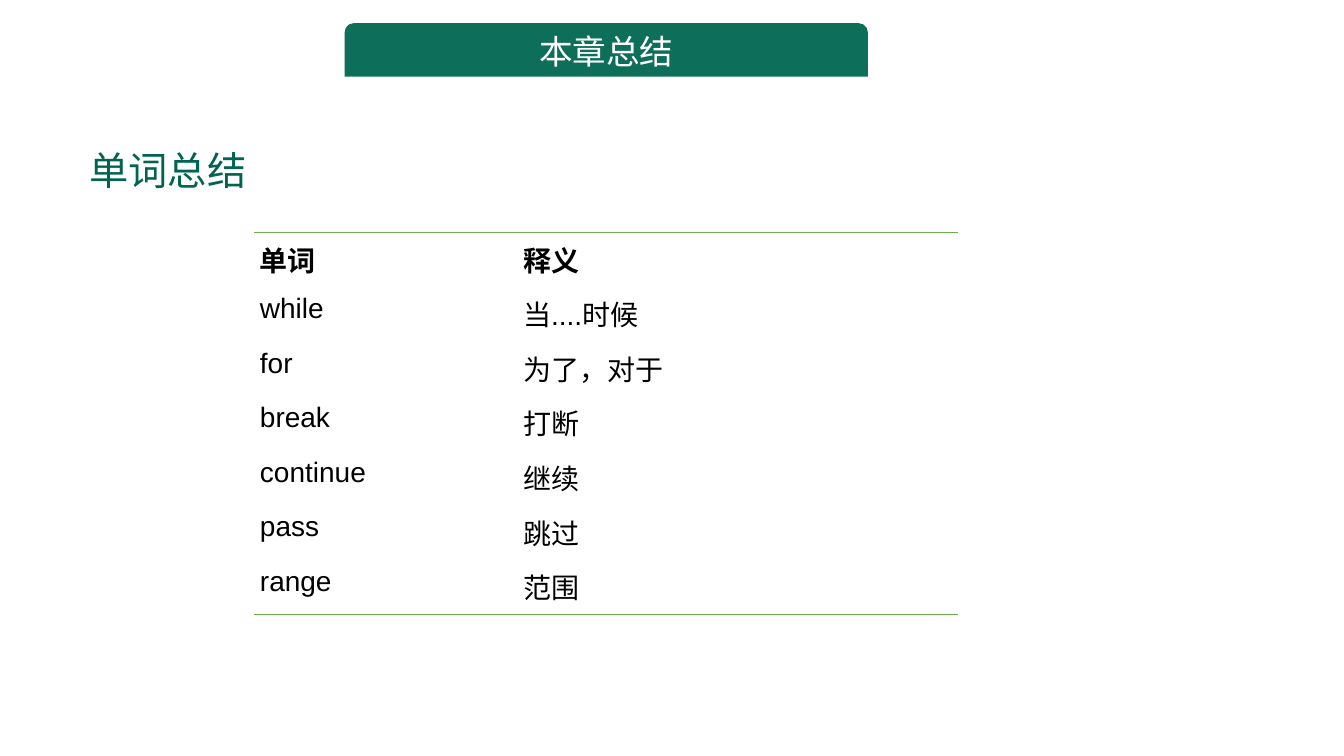
from lxml import etree
from pptx import Presentation
from pptx.dml.color import RGBColor
from pptx.enum import shapes, text
from pptx.oxml import ns
from pptx.util import Pt

BANNER_GREEN = RGBColor(0x0D, 0x6E, 0x5A)
TITLE_GREEN = RGBColor(0x00, 0x64, 0x50)
RULE_GREEN = RGBColor(0x70, 0xAD, 0x47)
WHITE = RGBColor(0xFF, 0xFF, 0xFF)
BLACK = RGBColor(0x00, 0x00, 0x00)
NO_STYLE_NO_GRID = "{2D5ABB26-0587-4C30-8999-92F81FD0307C}"
WORDS = [
    ("单词", "释义"),
    ("while", "当....时候"),
    ("for", "为了，对于"),
    ("break", "打断"),
    ("continue", "继续"),
    ("pass", "跳过"),
    ("range", "范围"),
]


def set_font(para, size, color, bold=False):
    para.font.name = "Arial"
    para.font.size = Pt(size)
    para.font.color.rgb = color
    para.font.bold = bold


def add_border(cell, side):
    """Draw a 1 pt green rule on one side of a cell: lnT or lnB."""
    line = etree.Element(ns.qn(f"a:{side}"), w=str(Pt(1)))
    fill = etree.SubElement(line, ns.qn("a:solidFill"))
    etree.SubElement(fill, ns.qn("a:srgbClr"), val=str(RULE_GREEN))
    cell._tc.get_or_add_tcPr().insert(0, line)


deck = Presentation()
deck.slide_width, deck.slide_height = Pt(960), Pt(540)
page = deck.slides.add_slide(deck.slide_layouts[5])

# Chapter banner
banner = page.shapes.add_shape(
    shapes.MSO_SHAPE.ROUND_2_SAME_RECTANGLE, Pt(246.2), Pt(16.6), Pt(373.7), Pt(38.2))
banner.shadow.inherit = False
banner.fill.solid()
banner.fill.fore_color.rgb = BANNER_GREEN
banner.line.fill.background()
banner.text_frame.text = "本章总结"
para = banner.text_frame.paragraphs[0]
para.alignment = text.PP_ALIGN.CENTER
set_font(para, 24, WHITE)

# Title
title = page.shapes.title
title.left, title.top, title.width, title.height = Pt(56.9), Pt(84.2), Pt(573), Pt(51.8)
frame = title.text_frame
frame.text = "单词总结"
frame.auto_size = text.MSO_AUTO_SIZE.NONE
frame.vertical_anchor = text.MSO_ANCHOR.TOP
para = frame.paragraphs[0]
para.alignment = text.PP_ALIGN.LEFT
para.line_spacing = 1.5
set_font(para, 28, TITLE_GREEN)

# Vocabulary table
table = page.shapes.add_table(
    len(WORDS), 2, Pt(181.4), Pt(166.2), Pt(502.6), Pt(273)).table
table._tbl.tblPr.find(ns.qn("a:tableStyleId")).text = NO_STYLE_NO_GRID
table.horz_banding = False
table.columns[0].width, table.columns[1].width = Pt(188), Pt(314.6)
for row, entry in enumerate(WORDS):
    table.rows[row].height = Pt(39)
    for column, wording in enumerate(entry):
        cell = table.cell(row, column)
        cell.margin_left = cell.margin_right = Pt(4.3)
        cell.margin_top = cell.margin_bottom = Pt(4.3)
        cell.fill.background()
        cell.text = wording
        set_font(cell.text_frame.paragraphs[0], 20, BLACK, bold=row == 0)
        if row == 0:
            add_border(cell, "lnT")
        if row == len(WORDS) - 1:
            add_border(cell, "lnB")

deck.save("out.pptx")
